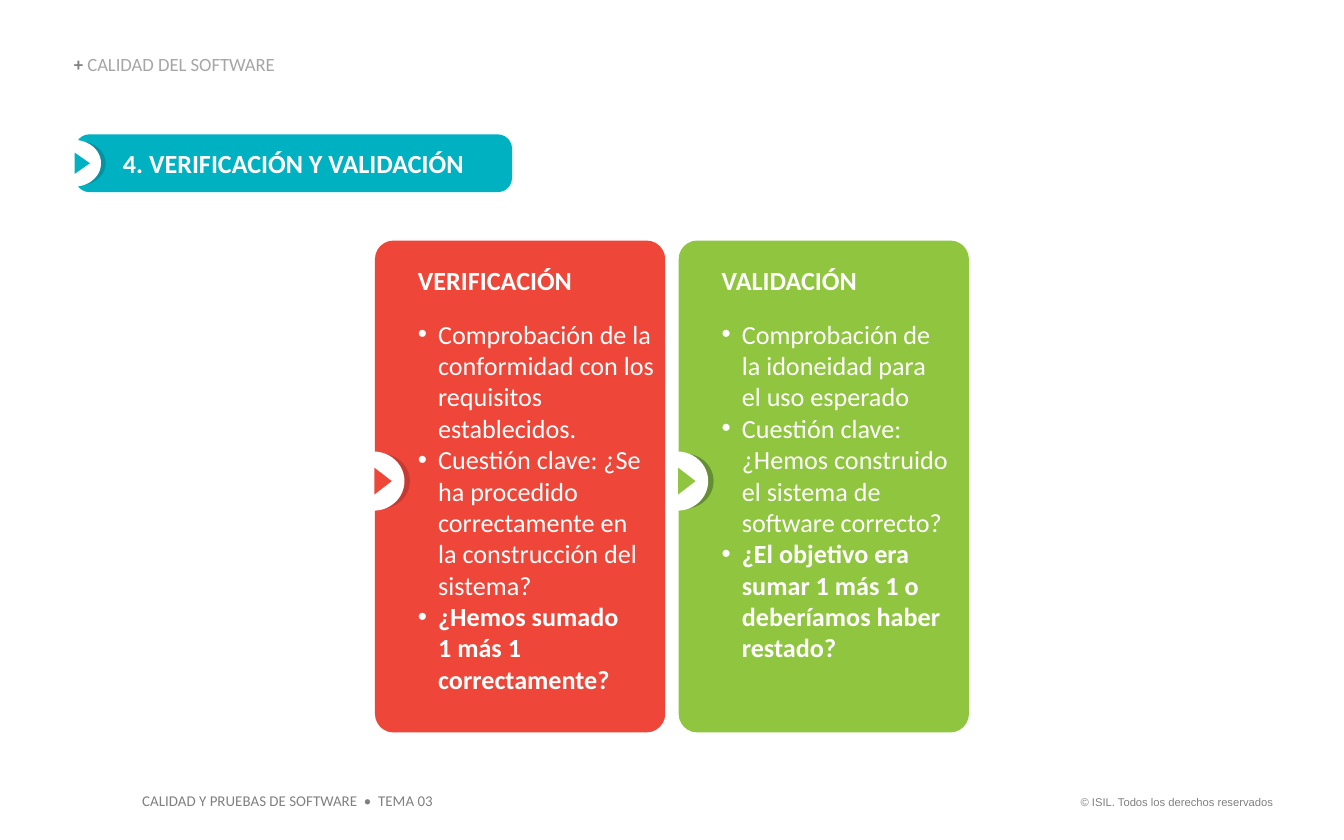
from lxml.etree import SubElement
from pptx import Presentation
from pptx.dml.color import RGBColor as RGB
from pptx.enum.shapes import MSO_SHAPE as SHAPE
from pptx.enum.text import MSO_ANCHOR as ANCHOR, PP_ALIGN as ALIGN
from pptx.oxml.ns import qn
from pptx.util import Inches, Pt

COLS, ROWS = 100, 62.5
COLORS = {
    "white": "FFFFFF", "gray": "808080", "light": "A6A6A6",
    "teal": "00B1C2", "teal_dark": "0792A2",
    "green": "8FC53F", "green_dark": "658E33",
    "red": "EE4639", "red_dark": "C73A31",
}
CARDS = [
    (50.5, "green", "VALIDACIÓN", [
        "Comprobación de \nla idoneidad para \nel uso esperado",
        "Cuestión clave: ¿Hemos construido el sistema de software correcto?",
        "¿El objetivo era sumar 1 más 1 o deberíamos haber restado?"]),
    (27.9, "red", "VERIFICACIÓN", [
        "Comprobación de la conformidad con los requisitos establecidos.",
        "Cuestión clave: ¿Se ha procedido correctamente en \nla construcción del sistema?",
        "¿Hemos sumado \n1 más 1 correctamente?"]),
]


class Deck:
    """Slide style and drawing methods, with lengths in grid columns and rows."""

    def __init__(self):
        self.prs = Presentation()
        self.prs.slide_width, self.prs.slide_height = Inches(10), Inches(6.25)
        self.s = self.prs.slides.add_slide(self.prs.slide_layouts[6])

    def box(self, x, y, w, h):
        cw, rh = self.prs.slide_width / COLS, self.prs.slide_height / ROWS
        return [round(v) for v in (x * cw, y * rh, w * cw, h * rh)]

    def style(self, r, size, color, bold=False, font="Calibri"):
        r.font.size, r.font.bold, r.font.name = Pt(size), bold, font
        r.font.color.rgb = RGB.from_string(COLORS[color])

    def shape(self, kind, x, y, w, h, color, adj=None):
        sp = self.s.shapes.add_shape(kind, *self.box(x, y, w, h))
        sp.shadow.inherit = False
        sp.fill.solid()
        sp.fill.fore_color.rgb = RGB.from_string(COLORS[color])
        sp.line.fill.background()
        if adj is not None:
            sp.adjustments[0] = adj
        return sp

    def text(self, x, y, w, h, parts, size, font="Calibri", align=ALIGN.LEFT):
        tf = self.s.shapes.add_textbox(*self.box(x, y, w, h)).text_frame
        p = tf.paragraphs[0]
        p.alignment = align
        for words, color, bold in parts:
            r = p.add_run()
            r.text = words
            self.style(r, size, color, bold, font)
        return tf

    def heading(self, x, y, w, h, parts):
        tf = self.text(x, y, w, h, parts, 10)
        tf.margin_left = tf.margin_right = tf.margin_top = tf.margin_bottom = 0
        tf.word_wrap, tf.vertical_anchor = True, ANCHOR.BOTTOM
        tf.paragraphs[0].line_spacing = 0.9

    def badge(self, x, mid, color, sx=1, sy=1):
        for dx, w, h, tone in [(-1.7, 4.3, 4.1, color + "_dark"), (-2.4, 4.6, 4.4, "white")]:
            self.shape(SHAPE.OVAL, x + dx * sx, mid - h * sy / 2, w * sx, h * sy, tone)
        w, h = 2 * sy, 1.3 * sx
        sp = self.shape(SHAPE.ISOSCELES_TRIANGLE, x + 0.6 * sx - w / 2, mid - h / 2, w, h, color)
        sp.rotation = 90

    def banner(self, x, y, w, h, color, words):
        tf = self.shape(SHAPE.ROUNDED_RECTANGLE, x, y, w, h, color, 0.248).text_frame
        tf.vertical_anchor = ANCHOR.MIDDLE
        p = tf.paragraphs[0]
        p.text, p.alignment = words, ALIGN.CENTER
        self.style(p.runs[0], 14, "white", True)
        self.badge(x, y + h / 2, color, 0.87, 0.79)

    def bullet(self, p):
        pPr = p._p.get_or_add_pPr()
        pPr.set("marL", str(Inches(0.15)))
        pPr.set("indent", str(-Inches(0.15)))
        clr = SubElement(pPr, qn("a:buClr"))
        SubElement(clr, qn("a:srgbClr"), val=COLORS["white"])
        SubElement(pPr, qn("a:buFont"), typeface="Arial")
        SubElement(pPr, qn("a:buChar"), char="•")

    def card(self, x, y, w, h, color, title, points):
        tf = self.shape(SHAPE.ROUNDED_RECTANGLE, x, y, w, h, color, 0.064).text_frame
        tf.margin_left, tf.margin_top = Inches(0.28), Inches(0.16)
        tf.margin_right, tf.margin_bottom = 0, Inches(0.05)
        tf.word_wrap, tf.vertical_anchor = True, ANCHOR.TOP
        for i, words in enumerate([title, *points]):
            p = tf.add_paragraph() if i else tf.paragraphs[0]
            p.text, p.alignment = words, ALIGN.LEFT
            if i:
                self.bullet(p)
            else:
                p.line_spacing, p.space_after = 0.9, Pt(12)
            for r in p.runs:
                self.style(r, 14, "white", i in (0, len(points)))
            for br in p._p.findall(qn("a:br")):
                SubElement(br, qn("a:rPr"), sz="1400")
        self.badge(x, y + h / 2 - 0.4, color)


def main():
    deck = Deck()
    deck.text(78.8, 58.7, 16.9, 2, [("© ISIL. Todos los derechos reservados", "gray", False)],
              6, "Arial", ALIGN.RIGHT)
    deck.text(9.6, 58.4, 23.7, 2.4,
              [("CALIDAD Y PRUEBAS DE SOFTWARE  •  TEMA 03", "gray", False)], 8)
    deck.heading(5.5, 4.1, 36.1, 1.5,
                 [("+ ", "gray", True), ("CALIDAD DEL SOFTWARE", "light", False)])
    deck.banner(5.6, 10, 32.5, 4.3, "teal", "4. VERIFICACIÓN Y VALIDACIÓN")
    for x, color, title, points in CARDS:
        deck.card(x, 17.9, 21.6, 36.6, color, title, points)
    deck.prs.save("out.pptx")


if __name__ == "__main__":
    main()
